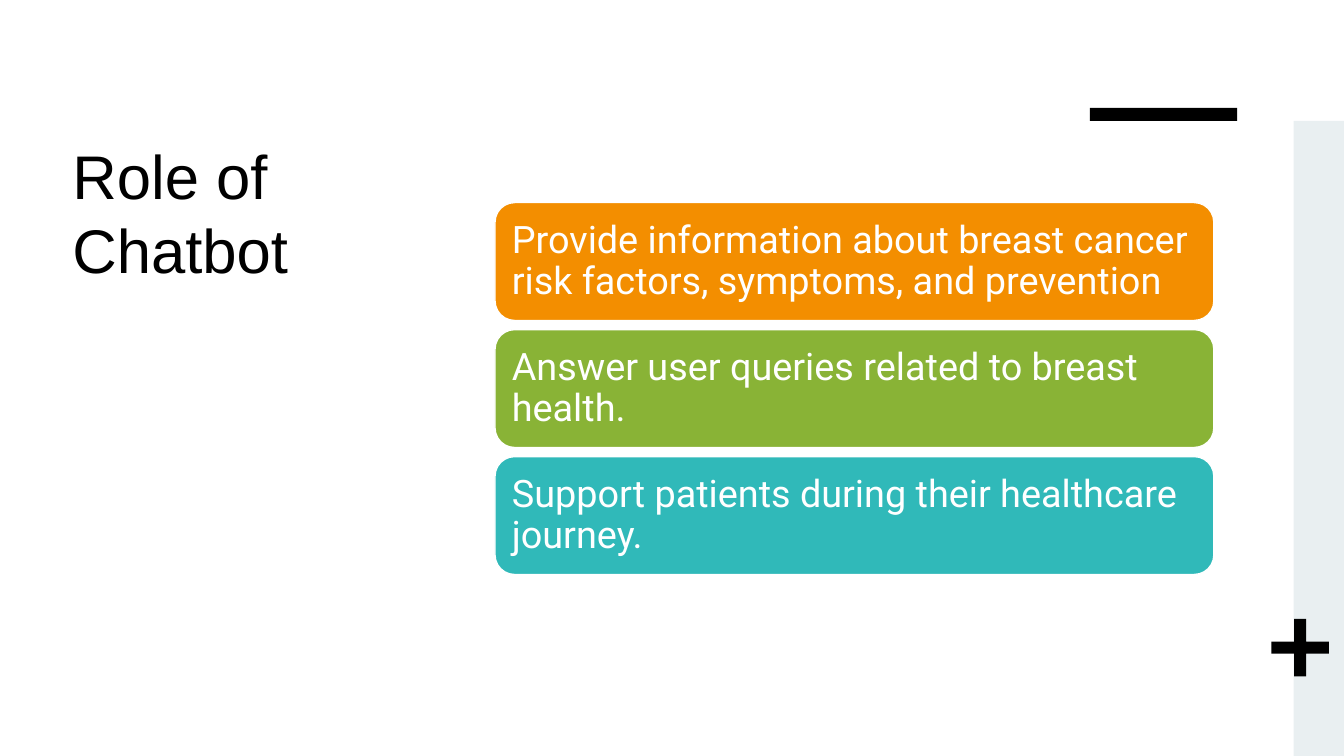
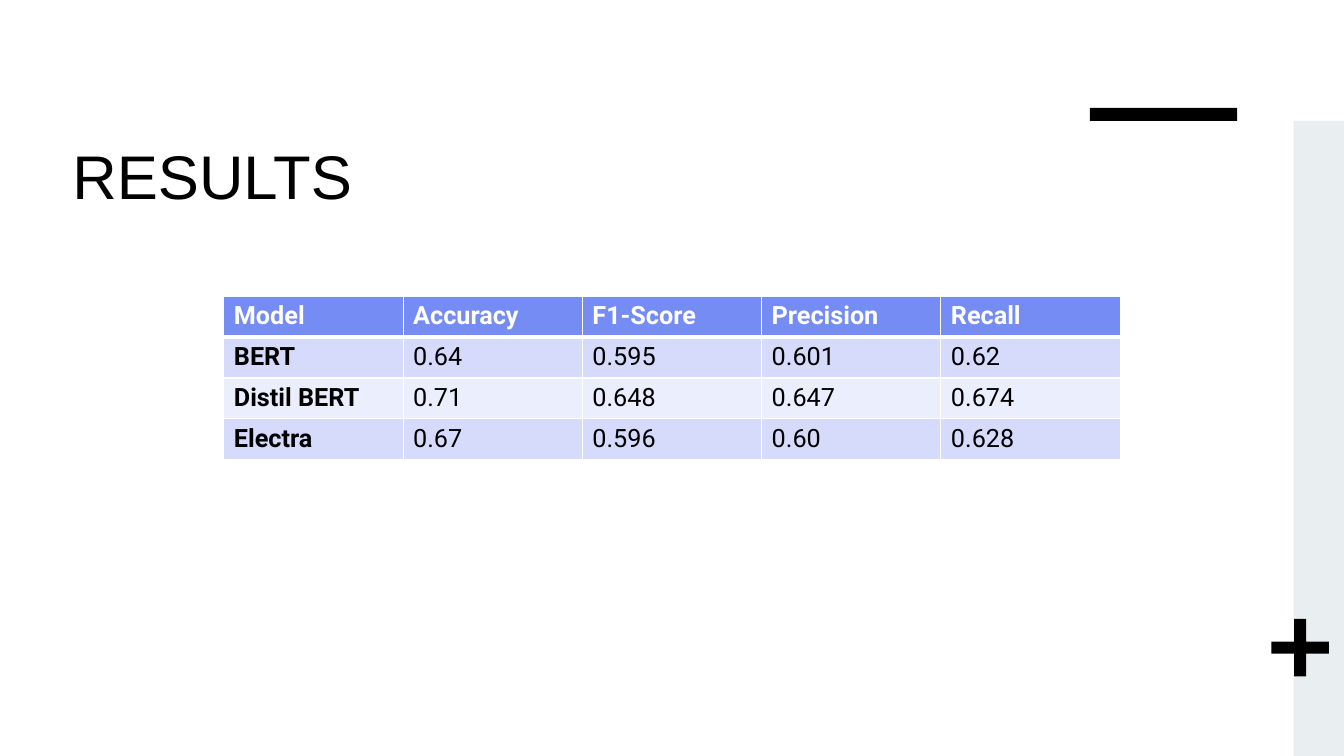
from lxml import etree
from pptx import Presentation
from pptx.dml.color import RGBColor
from pptx.enum import shapes, text
from pptx.oxml import ns
from pptx.util import Inches, Pt

BLACK = RGBColor(0x00, 0x00, 0x00)
WHITE = RGBColor(0xFF, 0xFF, 0xFF)
PALE_GREY = RGBColor(0xE9, 0xEF, 0xF1)
ORANGE = RGBColor(0xF3, 0x8E, 0x00)
GREEN = RGBColor(0x89, 0xB3, 0x36)
TEAL = RGBColor(0x30, 0xB9, 0xB9)
HEADER_BLUE = RGBColor(0x74, 0x8C, 0xF4)
BAND_DARK = RGBColor(0xD6, 0xDA, 0xFB)
BAND_LIGHT = RGBColor(0xEB, 0xEE, 0xFD)

TITLE_FONT = "Arial"
BODY_FONT = "Roboto"

ROLES = [
    ("Provide information about breast cancer risk factors, symptoms, and prevention", ORANGE),
    ("Answer user queries related to breast health.", GREEN),
    ("Support patients during their healthcare journey.", TEAL),
]
RESULTS = [
    ("Model", "Accuracy", "F1-Score", "Precision", "Recall"),
    ("BERT", "0.64", "0.595", "0.601", "0.62"),
    ("Distil BERT", "0.71", "0.648", "0.647", "0.674"),
    ("Electra", "0.67", "0.596", "0.60", "0.628"),
]


def style_font(font, name, size, color, bold=False):
    """Set the face, size, colour and weight of a font."""
    font.name = name
    font.size = Pt(size)
    font.color.rgb = color
    font.bold = bold


def add_filled_shape(slide, kind, box, color):
    """Add a flat shape without outline in a box given in inches."""
    shape = slide.shapes.add_shape(kind, *map(Inches, box))
    shape.shadow.inherit = False
    shape.fill.solid()
    shape.fill.fore_color.rgb = color
    shape.line.fill.background()
    return shape


def add_title(slide, title, box):
    """Add the slide title at the top of its box."""
    frame = slide.shapes.add_textbox(*map(Inches, box)).text_frame
    frame.word_wrap = True
    paragraph = frame.paragraphs[0]
    paragraph.text = title
    style_font(paragraph.font, TITLE_FONT, 44, BLACK)


def add_base_slide(presentation, title, title_box):
    """Add a slide with the shared side band, bar, plus sign and title."""
    slide = presentation.slides.add_slide(presentation.slide_layouts[6])
    rectangle = shapes.MSO_SHAPE.RECTANGLE
    add_filled_shape(slide, rectangle, (12.83, 1.2, 0.5, 6.3), PALE_GREY)
    add_filled_shape(slide, rectangle, (10.81, 1.07, 1.46, 0.13), BLACK)
    plus = add_filled_shape(slide, shapes.MSO_SHAPE.CROSS, (12.61, 6.14, 0.57, 0.57), BLACK)
    plus.adjustments[0] = 0.395
    add_title(slide, title, title_box)
    return slide


def add_cards(slide, cards, box, gap):
    """Stack rounded text cards with equal gaps to fill the box."""
    left, top, width, height = box
    card_height = (height - gap * (len(cards) - 1)) / len(cards)
    for index, (label, color) in enumerate(cards):
        card_top = top + index * (card_height + gap)
        card = add_filled_shape(slide, shapes.MSO_SHAPE.ROUNDED_RECTANGLE,
                                (left, card_top, width, card_height), color)
        card.line.color.rgb = WHITE
        card.line.width = Pt(1)
        frame = card.text_frame
        frame.word_wrap = True
        frame.vertical_anchor = text.MSO_ANCHOR.MIDDLE
        frame.margin_left = frame.margin_right = Inches(0.11)
        paragraph = frame.paragraphs[0]
        paragraph.text = label
        paragraph.alignment = text.PP_ALIGN.LEFT
        paragraph.line_spacing = 0.9
        style_font(paragraph.font, BODY_FONT, 27, WHITE)


def set_cell_borders(cell, top, bottom):
    """Draw white borders, 1 pt at the sides and as given above and below."""
    properties = cell._tc.get_or_add_tcPr()
    widths = (("lnL", 1), ("lnR", 1), ("lnT", top), ("lnB", bottom))
    for position, (tag, width) in enumerate(widths):
        line = etree.Element(ns.qn(f"a:{tag}"), w=str(Pt(width)))
        fill = etree.SubElement(line, ns.qn("a:solidFill"))
        etree.SubElement(fill, ns.qn("a:srgbClr"), val=str(WHITE))
        properties.insert(position, line)


def add_results_table(slide, rows, box):
    """Add a banded table with a header row and a bold first column."""
    table = slide.shapes.add_table(len(rows), len(rows[0]), *map(Inches, box)).table
    for row_index, values in enumerate(rows):
        header = row_index == 0
        band = BAND_DARK if row_index % 2 else BAND_LIGHT
        for column_index, value in enumerate(values):
            cell = table.cell(row_index, column_index)
            cell.fill.solid()
            cell.fill.fore_color.rgb = HEADER_BLUE if header else band
            set_cell_borders(cell, 3 if row_index == 1 else 1, 3 if header else 1)
            paragraph = cell.text_frame.paragraphs[0]
            paragraph.text = value
            style_font(paragraph.font, BODY_FONT, 18, WHITE if header else BLACK,
                       header or column_index == 0)


def build_role_slide(presentation):
    """Build the slide on the role of the chatbot."""
    slide = add_base_slide(presentation, "Role of Chatbot", (0.62, 1.32, 3.5, 4.4))
    add_cards(slide, ROLES, (4.91, 2.01, 7.13, 3.69), 0.09)


def build_results_slide(presentation):
    """Build the slide with the model scores."""
    slide = add_base_slide(presentation, "RESULTS", (0.62, 1.32, 9.04, 1.58))
    add_results_table(slide, RESULTS, (2.22, 2.94, 8.89, 1.62))


def main():
    """Build and save the presentation."""
    presentation = Presentation()
    presentation.slide_width = Inches(13.33)
    presentation.slide_height = Inches(7.5)
    build_role_slide(presentation)
    build_results_slide(presentation)
    presentation.save("out.pptx")


if __name__ == "__main__":
    main()
